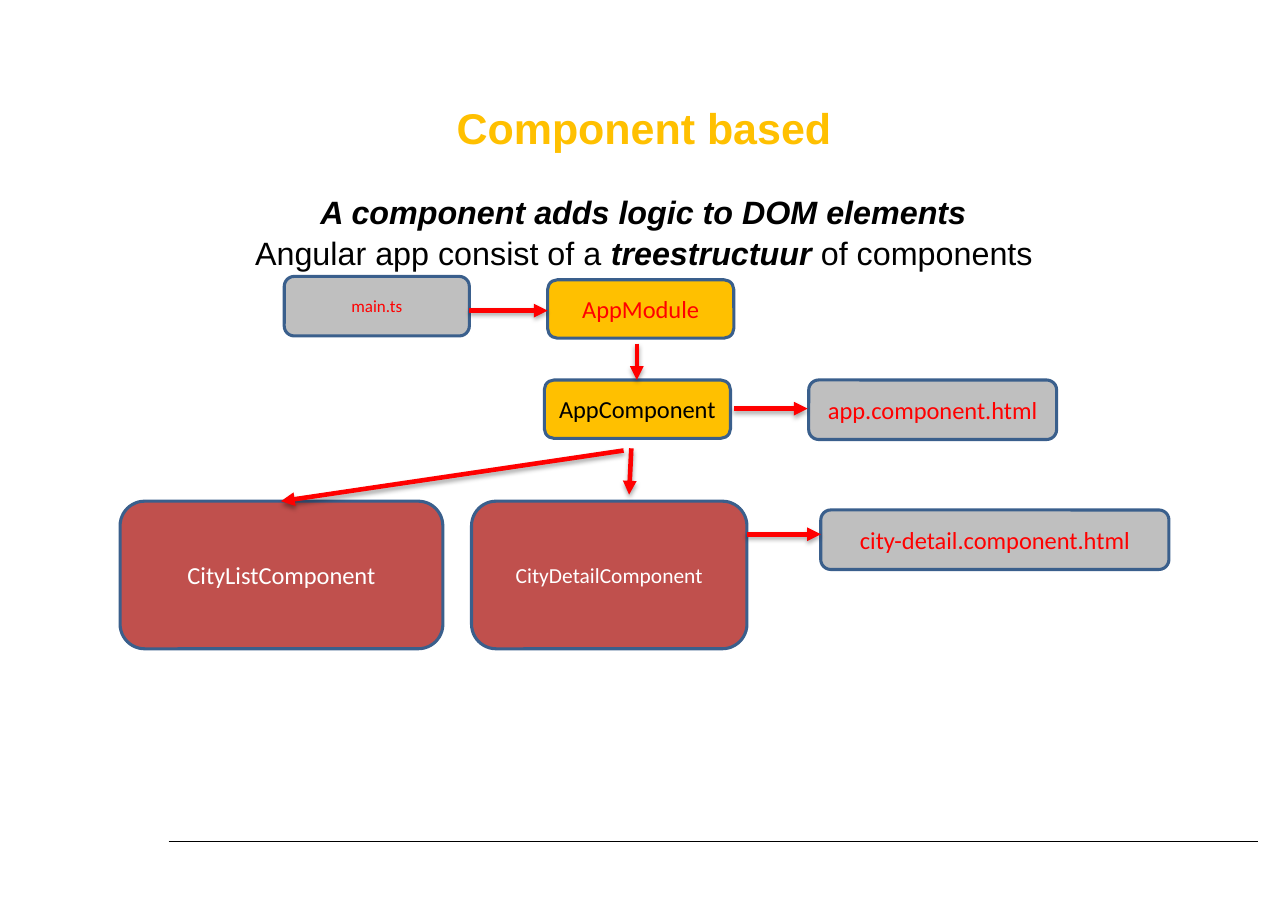
"""Build a slide showing the component tree of an Angular app."""
from lxml import etree
from pptx import Presentation
from pptx.dml.color import RGBColor
from pptx.enum.shapes import MSO_CONNECTOR, MSO_SHAPE
from pptx.enum.text import MSO_ANCHOR, MSO_AUTO_SIZE, PP_ALIGN
from pptx.oxml import parse_xml
from pptx.oxml.ns import nsdecls, qn
from pptx.util import Inches, Pt

STRAIGHT = MSO_CONNECTOR.STRAIGHT
ROUNDED = MSO_SHAPE.ROUNDED_RECTANGLE
MIDDLE = MSO_ANCHOR.MIDDLE
CENTER = PP_ALIGN.CENTER
NO_AUTOFIT = MSO_AUTO_SIZE.NONE

COLORS = {
    "gold": "FFC000", "gray": "BFBFBF", "brick": "C0504D", "border": "3A5F8C",
    "red": "FF0000", "black": "000000", "white": "FFFFFF",
}
HEADING = "Component based"
STATEMENTS = [
    [("A component adds logic to DOM elements", True)],
    [("Angular app consist of a ", False), ("treestructuur", True), (" of components", False)],
]
NODES = [
    ("main.ts", (2.58, 2.51, 1.68, 0.54), "gray", "red", 11.1),
    ("AppModule", (4.97, 2.54, 1.69, 0.53), "gold", "red", 16),
    ("AppComponent", (4.94, 3.45, 1.69, 0.53), "gold", "black", 16),
    ("app.component.html", (7.34, 3.45, 2.25, 0.54), "gray", "red", 16),
    ("CityListComponent", (1.09, 4.55, 2.93, 1.34), "brick", "white", 16),
    ("CityDetailComponent", (4.28, 4.55, 2.5, 1.34), "brick", "white", 14),
    ("city-detail.component.html", (7.45, 4.63, 3.16, 0.54), "gray", "red", 16),
]
ARROWS = [
    (4.26, 2.82, 4.97, 2.82),
    (5.78, 3.12, 5.78, 3.45),
    (6.66, 3.71, 7.33, 3.71),
    (5.73, 4.07, 5.71, 4.49),
    (5.66, 4.09, 2.55, 4.55),
    (6.78, 4.85, 7.45, 4.85),
]
FOOTER_RULE = (1.53, 7.64, 11.42, 7.64)
ARROW_SHADOW = (
    f'<a:effectLst {nsdecls("a")}><a:outerShdw blurRad="{Pt(3.1)}" dist="{Pt(1.8)}" '
    'dir="5400000" rotWithShape="0"><a:srgbClr val="000000"><a:alpha val="35000"/>'
    '</a:srgbClr></a:outerShdw></a:effectLst>'
)
NO_SHADOW = f'<a:effectLst {nsdecls("a")}/>'


def color(name):
    return RGBColor.from_string(COLORS[name])


def set_font(font, family, size, color_name):
    font.name = family
    font.size = Pt(size)
    font.color.rgb = color(color_name)


def add_title(slide):
    title = slide.shapes.title
    title.left, title.top, title.width, title.height = map(Inches, (2.1, 1.12, 7.49, 1.46))
    frame = title.text_frame
    frame.word_wrap = True
    frame.auto_size = NO_AUTOFIT
    frame.vertical_anchor = MIDDLE
    frame.margin_left = frame.margin_right = frame.margin_top = Inches(0.1)
    frame.margin_bottom = Inches(0.41)
    heading = frame.paragraphs[0]
    heading.text = HEADING
    heading.alignment = CENTER
    heading.space_before = Pt(0)
    heading.line_spacing = 1.0
    set_font(heading.font, "Arial", 28.1, "gold")
    heading.font.bold = True
    for index, parts in enumerate(STATEMENTS):
        statement = frame.add_paragraph()
        statement.alignment = CENTER
        statement.line_spacing = 1.05
        statement.space_before = Pt(0 if index else 24)
        set_font(statement.font, "Arial", 21.1, "black")
        for text, emphasized in parts:
            run = statement.add_run()
            run.text = text
            run.font.bold = run.font.italic = emphasized


def add_node(slide, label, box, fill, text_color, size):
    node = slide.shapes.add_shape(ROUNDED, *map(Inches, box))
    node.shadow.inherit = False
    node.fill.solid()
    node.fill.fore_color.rgb = color(fill)
    node.line.color.rgb = color("border")
    node.line.width = Pt(2)
    node.text_frame.vertical_anchor = MIDDLE
    paragraph = node.text_frame.paragraphs[0]
    paragraph.text = label
    paragraph.alignment = CENTER
    set_font(paragraph.font, "Calibri", size, text_color)


def add_line(slide, ends, color_name, width, effects):
    connector = slide.shapes.add_connector(STRAIGHT, *map(Inches, ends))
    connector.line.color.rgb = color(color_name)
    connector.line.width = Pt(width)
    connector._element.spPr.append(parse_xml(effects))
    return connector


def main():
    deck = Presentation()
    deck.slide_width, deck.slide_height = Inches(11.69), Inches(8.27)
    slide = deck.slides.add_slide(deck.slide_layouts[5])
    add_line(slide, FOOTER_RULE, "black", 0.94, NO_SHADOW)
    add_title(slide)
    for node in NODES:
        add_node(slide, *node)
    for ends in ARROWS:
        arrow = add_line(slide, ends, "red", 3, ARROW_SHADOW)
        etree.SubElement(arrow.line._get_or_add_ln(), qn("a:tailEnd"), type="triangle")
    deck.save("out.pptx")


if __name__ == "__main__":
    main()
